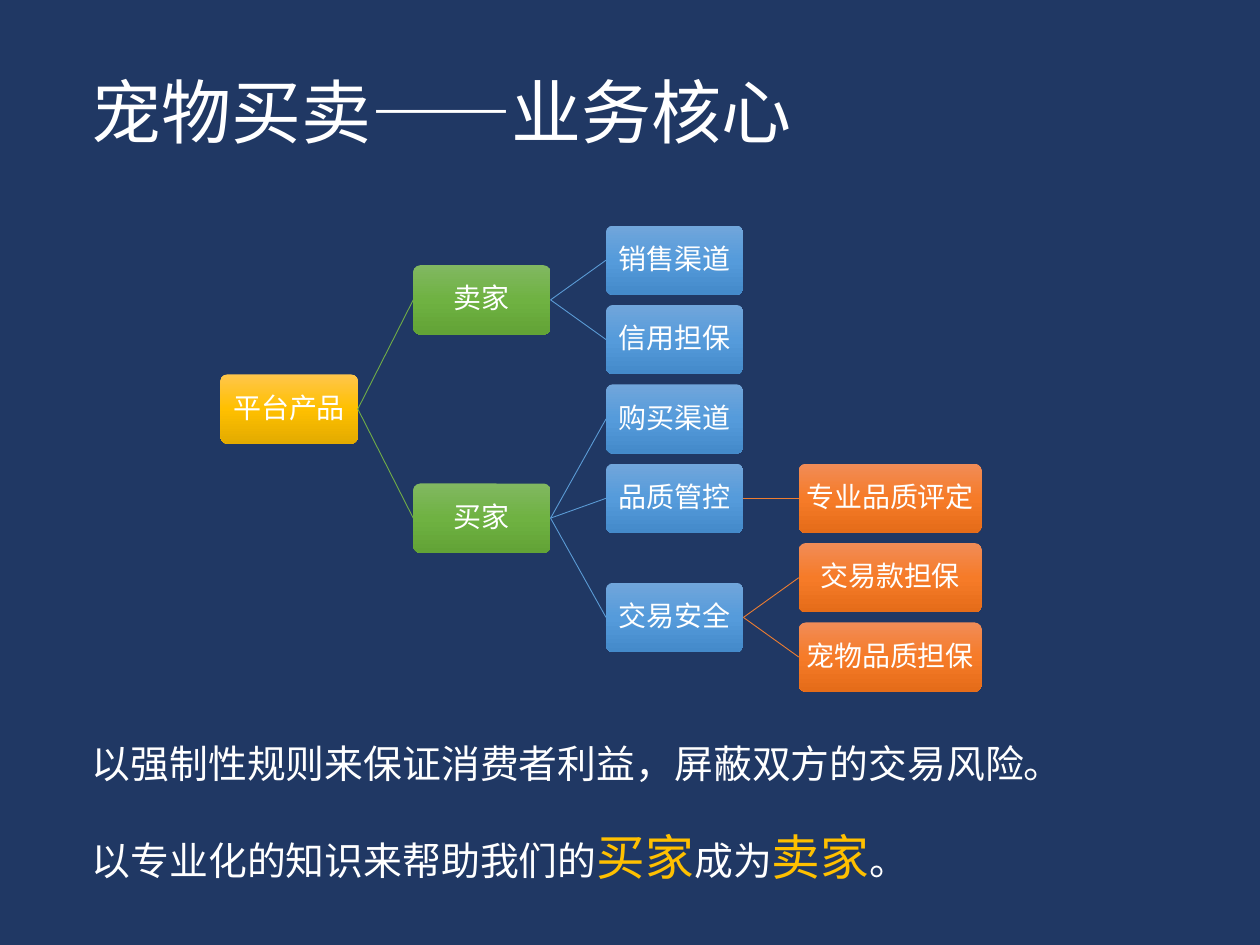
"""Build the pet trading slide: a business tree with two closing statements."""
from copy import deepcopy
from dataclasses import dataclass

from pptx import Presentation
from pptx.dml.color import RGBColor
from pptx.enum.shapes import MSO_CONNECTOR as Connector, MSO_SHAPE as Preset
from pptx.enum.text import MSO_ANCHOR as Anchor, PP_ALIGN as Align
from pptx.oxml.ns import qn
from pptx.util import Inches, Pt


@dataclass(frozen=True)
class Theme:
    font: str = "Noto Sans CJK SC"
    background: str = "203864"
    text: str = "FFFFFF"
    accent: str = "FFC000"
    title_size: float = 40
    node_size: float = 16
    body_size: float = 22.2
    accent_size: float = 27.8
    line_width: float = 0.5
    gradients: tuple = (
        ("FFC64B", "FFC000", "E3AB00"),
        ("81B861", "6FB242", "62A336"),
        ("71A6DB", "559BDB", "448ACA"),
        ("F18C57", "F67B28", "E56C19"),
    )
    lines: tuple = ("FFC000", "70AD47", "5B9BD5", "ED7D31")


theme = Theme()


def write(shape, text, size, anchor=Anchor.MIDDLE, align=Align.LEFT,
          spacing=0.9, before=0, inset=None):
    """Fill a shape with lines of text, where *starred* words are accented."""
    frame = shape.text_frame
    frame.word_wrap = True
    frame.vertical_anchor = anchor
    if inset is not None:
        frame.margin_left = frame.margin_right = Inches(inset)
        frame.margin_top = frame.margin_bottom = Inches(inset)
    for index, line in enumerate(text.split("\n")):
        paragraph = frame.paragraphs[0] if index == 0 else frame.add_paragraph()
        paragraph.alignment = align
        paragraph.line_spacing = spacing
        paragraph.space_before = Pt(before)
        for position, words in enumerate(line.split("*")):
            accented = position % 2 == 1
            run = paragraph.add_run()
            run.text = words
            run.font.name = theme.font
            run.font.size = Pt(theme.accent_size if accented else size)
            run.font.color.rgb = RGBColor.from_string(theme.accent if accented else theme.text)
            east_asian = run.font._element.makeelement(qn("a:ea"), {"typeface": theme.font})
            run.font._element.append(east_asian)


presentation = Presentation()
presentation.slide_width, presentation.slide_height = Inches(10), Inches(7.5)
slide = presentation.slides.add_slide(presentation.slide_layouts[6])
slide.background.fill.solid()
slide.background.fill.fore_color.rgb = RGBColor.from_string(theme.background)

title = slide.shapes.add_textbox(Inches(0.63), Inches(0.46), Inches(8.62), Inches(0.92))
write(title, "宠物买卖——业务核心", theme.title_size)

tree_left, tree_top = 1.75, 1.79
column_step, row_step = 1.53, 0.63
node_width, wide_width, node_height = 1.09, 1.45, 0.55

children = {
    "平台产品": ("卖家", "买家"),
    "卖家": ("销售渠道", "信用担保"),
    "买家": ("购买渠道", "品质管控", "交易安全"),
    "品质管控": ("专业品质评定",),
    "交易安全": ("交易款担保", "宠物品质担保"),
}
columns = {"平台产品": 0}
for parent, names in children.items():
    columns.update((name, columns[parent] + 1) for name in names)
leaves = [name for name in ("销售渠道", "信用担保", "购买渠道",
                            "专业品质评定", "交易款担保", "宠物品质担保")]
rows = {name: row for row, name in enumerate(leaves)}
for parent, names in reversed(children.items()):
    rows[parent] = (rows[names[0]] + rows[names[-1]]) / 2

nodes = {}
for name, column in columns.items():
    node = slide.shapes.add_shape(
        Preset.ROUNDED_RECTANGLE,
        Inches(tree_left + column * column_step),
        Inches(tree_top + rows[name] * row_step),
        Inches(wide_width if column == 3 else node_width),
        Inches(node_height),
    )
    node.adjustments[0] = 0.1
    node.shadow.inherit = False
    node.line.fill.background()
    node.fill.gradient()
    node.fill.gradient_angle = 270
    stop_list = node._element.spPr.find(qn("a:gradFill")).find(qn("a:gsLst"))
    stop_list.append(deepcopy(stop_list[0]))
    for index, stop in enumerate(node.fill.gradient_stops):
        stop.position = index / 2
        stop.color.rgb = RGBColor.from_string(theme.gradients[column][index])
    write(node, name, theme.node_size, align=Align.CENTER, inset=0.02)
    nodes[name] = node

for parent, names in children.items():
    for name in names:
        branch = slide.shapes.add_connector(Connector.STRAIGHT, 0, 0, 0, 0)
        branch.begin_connect(nodes[parent], 3)
        branch.end_connect(nodes[name], 1)
        branch.line.width = Pt(theme.line_width)
        branch.line.color.rgb = RGBColor.from_string(theme.lines[columns[name]])
        properties = branch._element.spPr
        properties.append(properties.makeelement(qn("a:effectLst"), {}))

statements = slide.shapes.add_textbox(Inches(0.63), Inches(5.67), Inches(8.77), Inches(1.45))
write(
    statements,
    "以强制性规则来保证消费者利益，屏蔽双方的交易风险。\n"
    "以专业化的知识来帮助我们的*买家*成为*卖家*。",
    theme.body_size, anchor=Anchor.TOP, spacing=1.4, before=10,
)

presentation.save("out.pptx")
